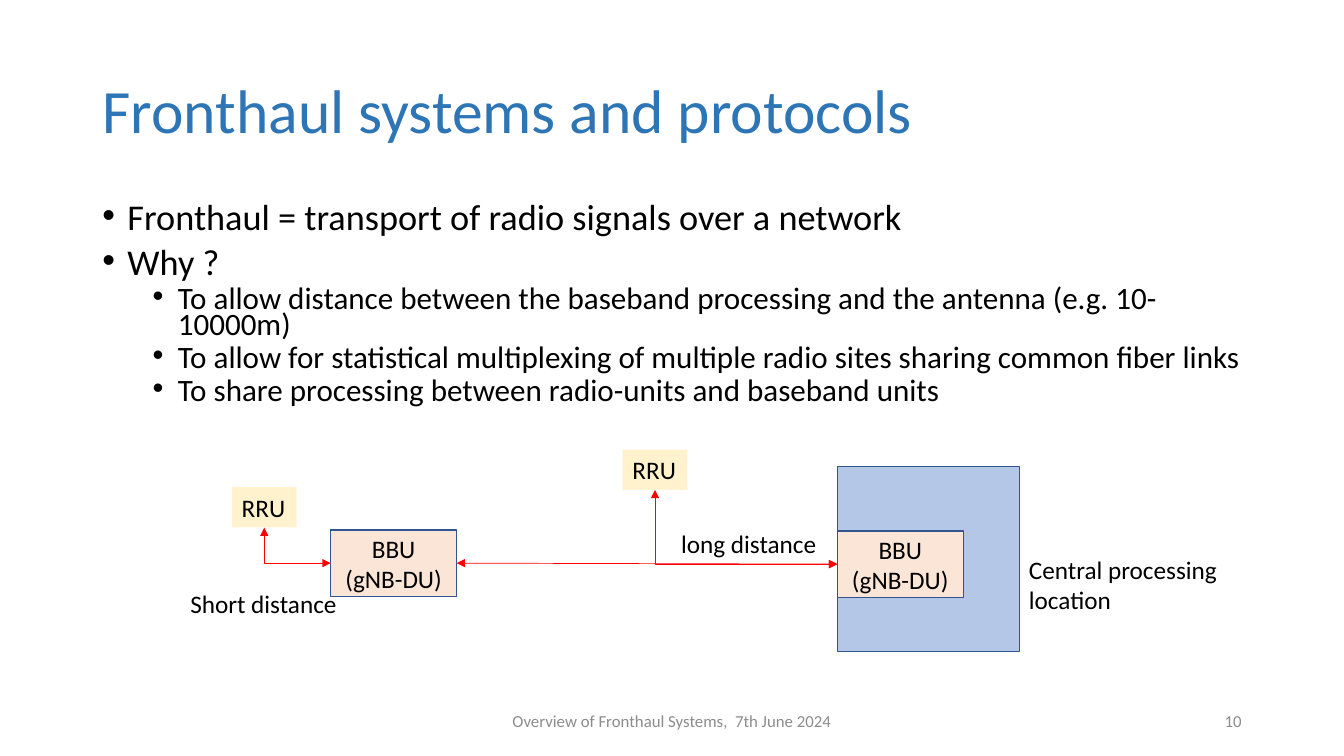
from dataclasses import dataclass

from lxml import etree
from pptx import Presentation
from pptx.dml.color import RGBColor
from pptx.enum.shapes import MSO_CONNECTOR, MSO_SHAPE
from pptx.enum.text import MSO_ANCHOR, PP_ALIGN
from pptx.oxml.ns import qn
from pptx.util import Inches, Pt

RECT = MSO_SHAPE.RECTANGLE
STRAIGHT, ELBOW = MSO_CONNECTOR.STRAIGHT, MSO_CONNECTOR.ELBOW
LEFT, CENTER, RIGHT = PP_ALIGN.LEFT, PP_ALIGN.CENTER, PP_ALIGN.RIGHT
TOP, MIDDLE = MSO_ANCHOR.TOP, MSO_ANCHOR.MIDDLE
SIDE_LEFT, SIDE_BOTTOM, SIDE_RIGHT = 1, 2, 3

FONT = "Calibri"
COLORS = {
    "title": "2E75B6", "text": "000000", "footer": "8C8C8C",
    "bbu": "FBE5D6", "rru": "FFF2CC", "site": "B4C7E7",
    "border": "325491", "link": "FF0000",
}

prs = Presentation()
prs.slide_width, prs.slide_height = Inches(40 / 3), Inches(7.5)
COL, ROW = prs.slide_width / 40, prs.slide_height / 22.5


@dataclass
class Area:
    """A rectangle in grid columns and rows."""
    col: float
    row: float
    cols: float
    rows: float

    def emu(self) -> tuple:
        return (round(self.col * COL), round(self.row * ROW),
                round(self.cols * COL), round(self.rows * ROW))


@dataclass
class Box:
    key: str
    area: Area
    fill: str
    text: str = ""
    border: bool = True
    align: PP_ALIGN = CENTER
    anchor: MSO_ANCHOR = MIDDLE
    wrap: bool = True


@dataclass
class Label:
    area: Area
    lines: list
    size: float = 18
    color: str = "text"
    align: PP_ALIGN = LEFT
    anchor: MSO_ANCHOR = TOP


@dataclass
class Link:
    kind: MSO_CONNECTOR
    start: str
    start_side: int
    end: str
    end_side: int


@dataclass
class Bullet:
    text: str
    level: int = 0


LEVELS = [
    {"size": 25.9, "before": 10, "margin": 0.25},
    {"size": 22.2, "before": 5, "margin": 0.75},
]
TITLE_AREA = Area(2.75, 1.2, 34.5, 4.35)
BODY_AREA = Area(2.75, 6, 34.5, 6.51)
BULLETS = [
    Bullet("Fronthaul = transport of radio signals over a network"),
    Bullet("Why ?"),
    Bullet("To allow distance between the baseband processing and the antenna (e.g. 10-10000m)", 1),
    Bullet("To allow for statistical multiplexing of multiple radio sites sharing common fiber links", 1),
    Bullet("To share processing between radio-units and baseband units", 1),
]


def bbu(key: str, col: float, row: float) -> Box:
    return Box(key, Area(col, row, 3.75, 1.98), "bbu", "BBU (gNB-DU)")


def rru(key: str, col: float, row: float) -> Box:
    return Box(key, Area(col, row, 1.93, 1.2), "rru", "RRU", False, LEFT, TOP, False)


BOXES = [
    bbu("near BBU", 9.84, 15.77),
    rru("near RRU", 6.9, 14.5),
    Box("site", Area(24.92, 13.88, 5.43, 5.52), "site"),
    bbu("central BBU", 24.92, 15.8),
    rru("far RRU", 18.53, 13.38),
]
LABELS = [
    Label(Area(5.37, 17.36, 7.29, 1.2), ["Short distance"]),
    Label(Area(30.33, 16.35, 7.29, 2.13), ["Central processing", "location"]),
    Label(Area(19.98, 15.57, 7.29, 1.2), ["long distance"]),
    Label(Area(13.25, 20.85, 13.5, 1.2), ["Overview of Fronthaul Systems,  7th June 2024"],
          12, "footer", CENTER, MIDDLE),
    Label(Area(28.25, 20.85, 9, 1.2), ["10"], 12, "footer", RIGHT, MIDDLE),
]
LINKS = [
    Link(STRAIGHT, "near BBU", SIDE_RIGHT, "central BBU", SIDE_LEFT),
    Link(ELBOW, "near BBU", SIDE_LEFT, "near RRU", SIDE_BOTTOM),
    Link(ELBOW, "central BBU", SIDE_LEFT, "far RRU", SIDE_BOTTOM),
]


def rgb(name: str) -> RGBColor:
    return RGBColor.from_string(COLORS[name])


def set_all(target, values: dict) -> None:
    for key, value in values.items():
        setattr(target, key, value)


def write(p, text: str, size: float, color: str, **values) -> None:
    r = p.add_run()
    r.text = text
    set_all(r.font, {"name": FONT, "size": Pt(size)})
    r.font.color.rgb = rgb(color)
    set_all(p, values)


def paragraph(tf, index: int):
    return tf.add_paragraph() if index else tf.paragraphs[0]


def add_title(s) -> None:
    title = s.shapes.title
    set_all(title, dict(zip(("left", "top", "width", "height"), TITLE_AREA.emu())))
    tf = title.text_frame
    set_all(tf, {"word_wrap": True, "vertical_anchor": MIDDLE})
    write(tf.paragraphs[0], "Fronthaul systems and protocols", 44, "title",
          alignment=LEFT, line_spacing=0.9)


def add_bullets(s) -> None:
    tf = s.shapes.add_textbox(*BODY_AREA.emu()).text_frame
    tf.word_wrap = True
    for i, bullet in enumerate(BULLETS):
        p = paragraph(tf, i)
        level = LEVELS[bullet.level]
        pPr = p._p.get_or_add_pPr()
        pPr.set("marL", str(Inches(level["margin"])))
        pPr.set("indent", str(Inches(-0.25)))
        etree.SubElement(pPr, qn("a:buFont"), typeface="Arial")
        etree.SubElement(pPr, qn("a:buChar"), char="•")
        write(p, bullet.text, level["size"], "text", level=bullet.level,
              line_spacing=0.7, space_before=Pt(level["before"] if i else 0))


def add_box(s, box: Box):
    sp = s.shapes.add_shape(RECT, *box.area.emu())
    sp.shadow.inherit = False
    sp.fill.solid()
    sp.fill.fore_color.rgb = rgb(box.fill)
    if box.border:
        sp.line.color.rgb = rgb("border")
        sp.line.width = Pt(1)
    else:
        sp.line.fill.background()
    if box.text:
        tf = sp.text_frame
        set_all(tf, {"word_wrap": box.wrap, "vertical_anchor": box.anchor})
        write(tf.paragraphs[0], box.text, 18, "text", alignment=box.align)
    return sp


def add_label(s, label: Label) -> None:
    tf = s.shapes.add_textbox(*label.area.emu()).text_frame
    set_all(tf, {"word_wrap": True, "vertical_anchor": label.anchor})
    for i, line in enumerate(label.lines):
        write(paragraph(tf, i), line, label.size, label.color, alignment=label.align)


def add_link(s, link: Link, boxes: dict) -> None:
    """Join two boxes with a double-headed arrow; an elbow turns once."""
    line = s.shapes.add_connector(link.kind, 0, 0, 0, 0)
    line.begin_connect(boxes[link.start], link.start_side)
    line.end_connect(boxes[link.end], link.end_side)
    line.line.color.rgb = rgb("link")
    line.line.width = Pt(0.5)
    spPr = line._element.spPr
    for end in ("a:headEnd", "a:tailEnd"):
        etree.SubElement(spPr.find(qn("a:ln")), qn(end), type="triangle")
    etree.SubElement(spPr, qn("a:effectLst"))
    if link.kind == ELBOW:
        spPr.find(qn("a:prstGeom")).set("prst", "bentConnector2")
        xfrm = spPr.find(qn("a:xfrm"))
        for flip in ("flipH", "flipV"):
            xfrm.attrib.pop(flip, None)
        xfrm.set("rot", str(180 * 60000))


def main() -> None:
    s = prs.slides.add_slide(prs.slide_layouts[5])
    add_title(s)
    add_bullets(s)
    boxes = {box.key: add_box(s, box) for box in BOXES}
    for label in LABELS:
        add_label(s, label)
    for link in LINKS:
        add_link(s, link, boxes)
    prs.save("out.pptx")


if __name__ == "__main__":
    main()
